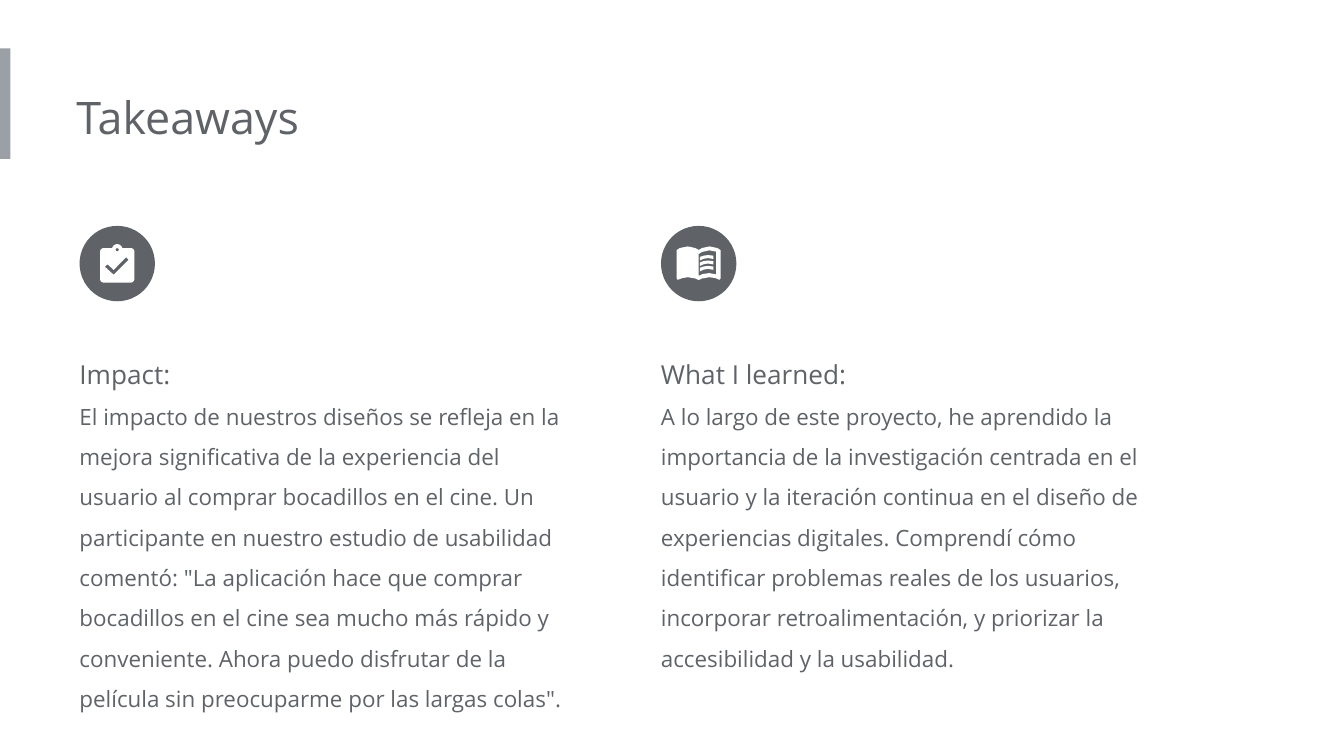
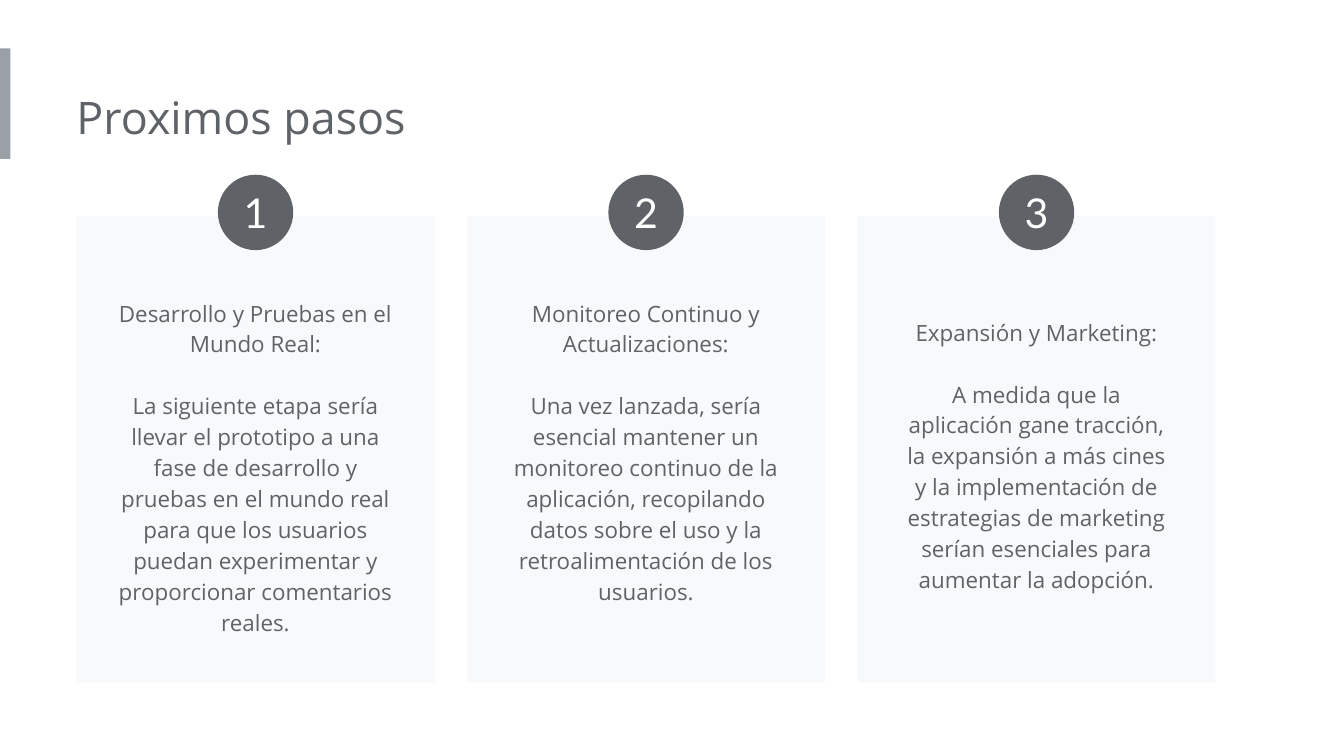
from math import cos, radians, sin

from pptx import Presentation
from pptx.dml.color import RGBColor
from pptx.enum.shapes import MSO_SHAPE as SHAPE
from pptx.enum.text import MSO_ANCHOR as ANCHOR, MSO_AUTO_SIZE as AUTO, PP_ALIGN as ALIGN
from pptx.util import Pt

GRAY, BAND, CARD, WHITE = "5F6368", "9AA0A6", "F8F9FA", "FFFFFF"
FONT, NUMBER_FONT = "Open Sans", "Lato"
DISC = 40.4
INSET = 7.2


def rgb(hex_color):
    return RGBColor.from_string(hex_color)


def paint(sp, color):
    sp.shadow.inherit = False
    sp.fill.solid()
    sp.fill.fore_color.rgb = rgb(color)
    sp.line.fill.background()
    return sp


def add_box(s, kind, x, y, w, h, color):
    return paint(s.shapes.add_shape(kind, Pt(x), Pt(y), Pt(w), Pt(h)), color)


def set_margins(tf, left, others):
    tf.margin_left = Pt(left)
    tf.margin_top = tf.margin_right = tf.margin_bottom = Pt(others)


def style(p, size, color=GRAY, font=FONT):
    for r in p.runs:
        r.font.size = Pt(size)
        r.font.name = font
        r.font.color.rgb = rgb(color)


def add_text(s, x, y, w, h, lines, left=0, spacing=None, align=None, gap=0):
    """Add a text box; lines holds (text, size) pairs, one per paragraph."""
    tf = s.shapes.add_textbox(Pt(x), Pt(y), Pt(w), Pt(h)).text_frame
    tf.word_wrap = True
    tf.auto_size = AUTO.SHAPE_TO_FIT_TEXT
    set_margins(tf, left, INSET)
    for i, (text, size) in enumerate(lines):
        p = tf.add_paragraph() if i else tf.paragraphs[0]
        p.text = text
        p.alignment = align
        p.line_spacing = spacing
        if i and gap:
            p.space_before = Pt(gap)
        style(p, size)


def add_outline(s, x, y, contours, color=WHITE):
    """Draw closed contours, given relative to (x, y); inner ones are holes."""
    placed = [[(Pt(x + dx), Pt(y + dy)) for dx, dy in c] for c in contours]
    fb = s.shapes.build_freeform(*placed[0][0], scale=1.0)
    for i, points in enumerate(placed):
        if i:
            fb.move_to(*points[0])
        fb.add_line_segments(points[1:], close=True)
    paint(fb.convert_to_shape(), color)


def arc(cx, cy, radius, start, end, steps=8):
    angles = [radians(start + (end - start) * i / steps) for i in range(steps + 1)]
    return [(cx + radius * cos(a), cy + radius * sin(a)) for a in angles]


def add_disc(s, x, y):
    return add_box(s, SHAPE.OVAL, x, y, DISC, DISC, GRAY)


# Icons, placed relative to the corner of their disc
def clipboard_icon(s, x, y):
    board = (arc(20.2, 12.6, 2.8, 195, 345) + arc(27.4, 13.9, 2, 270, 360)
             + arc(27.4, 28.4, 2, 0, 90) + arc(13, 28.4, 2, 90, 180)
             + arc(13, 13.9, 2, 180, 270))
    pin = arc(20.2, 12.8, 0.9, 0, 315, 7)
    check = [(18.3, 26.2), (13.6, 21.9), (15, 20.6), (18.3, 23.6), (25, 16.8), (26.3, 18.2)]
    add_outline(s, x, y, [board, pin, check])


def book_icon(s, x, y):
    cover = [(8.4, 13), (10.1, 11.9), (14.4, 11), (18.4, 11.9), (20.2, 12.9),
             (22, 11.9), (26, 11), (30.2, 11.9), (31.9, 13), (31.9, 28.2),
             (31.3, 28.9), (29.2, 28), (26, 27.5), (22, 28.2), (20.2, 29),
             (18.4, 28.2), (14.4, 27.5), (11.4, 28), (9, 28.9), (8.4, 28.2)]
    page = [(20.2, 15.1), (22, 14), (25.9, 13.1), (29.5, 13.8),
            (29.5, 26), (25.9, 25.3), (22.3, 25.8), (20.2, 26.8)]
    text_line = [(20.9, 16.7), (22.9, 16), (25.2, 15.7), (28.1, 16),
                 (28.1, 17.8), (25.2, 17.3), (22.9, 17.7), (20.9, 18.6)]
    add_outline(s, x, y, [cover, page])
    for row in range(3):
        add_outline(s, x, y + row * 2.9, [text_line])


# Side band and title shared by all slides
def new_slide(prs, title):
    s = prs.slides.add_slide(prs.slide_layouts[6])
    add_box(s, SHAPE.RECTANGLE, 0, 26, 5.6, 59.2, BAND)
    add_text(s, 41, 41, 388, 44, [(title, 24)])
    return s


# Icon above a heading and its paragraph
def takeaway_column(s, x, y, w, h, icon, heading, body):
    add_text(s, x, y + 55.2, w, h, [(heading, 14), (body, 12)], spacing=1.5)
    add_disc(s, x, y)
    icon(s, x, y)


def takeaways_slide(prs, title, columns):
    s = new_slide(prs, title)
    for i, (h, *content) in enumerate(columns):
        takeaway_column(s, 42.6 + i * 311.5, 121, 271.5, h, *content)


# Card with a numbered disc over its top edge
def step_card(s, x, y, w, h, number, text_top, text_h, heading, body):
    add_box(s, SHAPE.RECTANGLE, x, y, w, h, CARD)
    add_text(s, x + 15.2, y + text_top, w - 30.4, text_h, [(heading, 12), (body, 12)],
             left=INSET, spacing=1.15, align=ALIGN.CENTER, gap=16.6)
    tf = add_disc(s, x + (w - DISC) / 2, y - 22.2).text_frame
    set_margins(tf, 0, 0)
    tf.vertical_anchor = ANCHOR.MIDDLE
    tf.text = str(number)
    p = tf.paragraphs[0]
    p.alignment = ALIGN.CENTER
    style(p, 22, WHITE, NUMBER_FONT)


def steps_slide(prs, title, steps):
    s = new_slide(prs, title)
    for i, content in enumerate(steps):
        step_card(s, 41 + i * 209.2, 115.8, 191.8, 250, i + 1, *content)


def main():
    prs = Presentation()
    prs.slide_width, prs.slide_height = Pt(720), Pt(405)
    takeaways_slide(prs, "Takeaways", [
        (207.4, clipboard_icon, "Impact:",
         "El impacto de nuestros diseños se refleja en la mejora significativa de la "
         "experiencia del usuario al comprar bocadillos en el cine. Un participante en "
         "nuestro estudio de usabilidad comentó: \"La aplicación hace que comprar "
         "bocadillos en el cine sea mucho más rápido y conveniente. Ahora puedo "
         "disfrutar de la película sin preocuparme por las largas colas\"."),
        (185.8, book_icon, "What I learned:",
         "A lo largo de este proyecto, he aprendido la importancia de la investigación "
         "centrada en el usuario y la iteración continua en el diseño de experiencias "
         "digitales. Comprendí cómo identificar problemas reales de los usuarios, "
         "incorporar retroalimentación, y priorizar la accesibilidad y la usabilidad."),
    ])
    steps_slide(prs, "Proximos pasos", [
        (35.4, 213, "Desarrollo y Pruebas en el Mundo Real:",
         "La siguiente etapa sería llevar el prototipo a una fase de desarrollo y "
         "pruebas en el mundo real para que los usuarios puedan experimentar y "
         "proporcionar comentarios reales."),
        (35.4, 196.6, "Monitoreo Continuo y Actualizaciones:",
         "Una vez lanzada, sería esencial mantener un monitoreo continuo de la "
         "aplicación, recopilando datos sobre el uso y la retroalimentación de los "
         "usuarios."),
        (45.6, 165, "Expansión y Marketing:",
         "A medida que la aplicación gane tracción, la expansión a más cines y la "
         "implementación de estrategias de marketing serían esenciales para aumentar "
         "la adopción."),
    ])
    prs.save("out.pptx")


if __name__ == "__main__":
    main()
